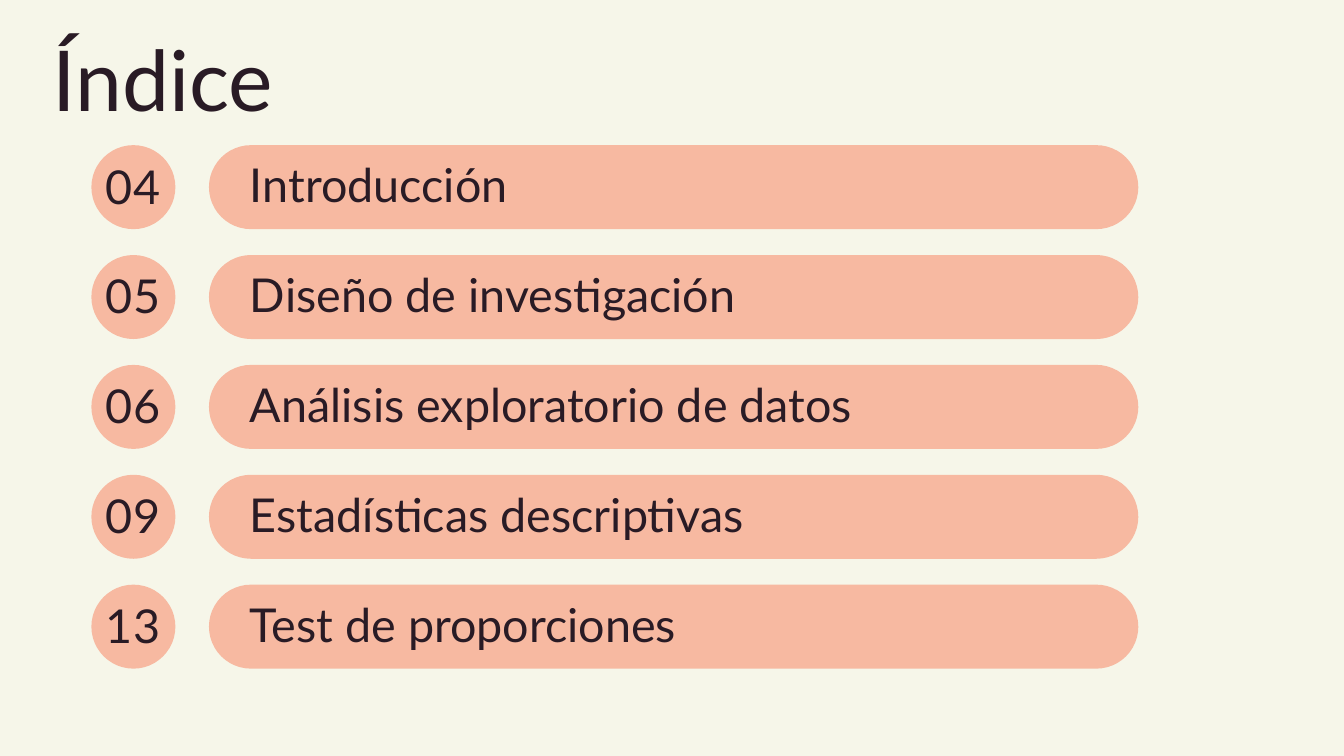
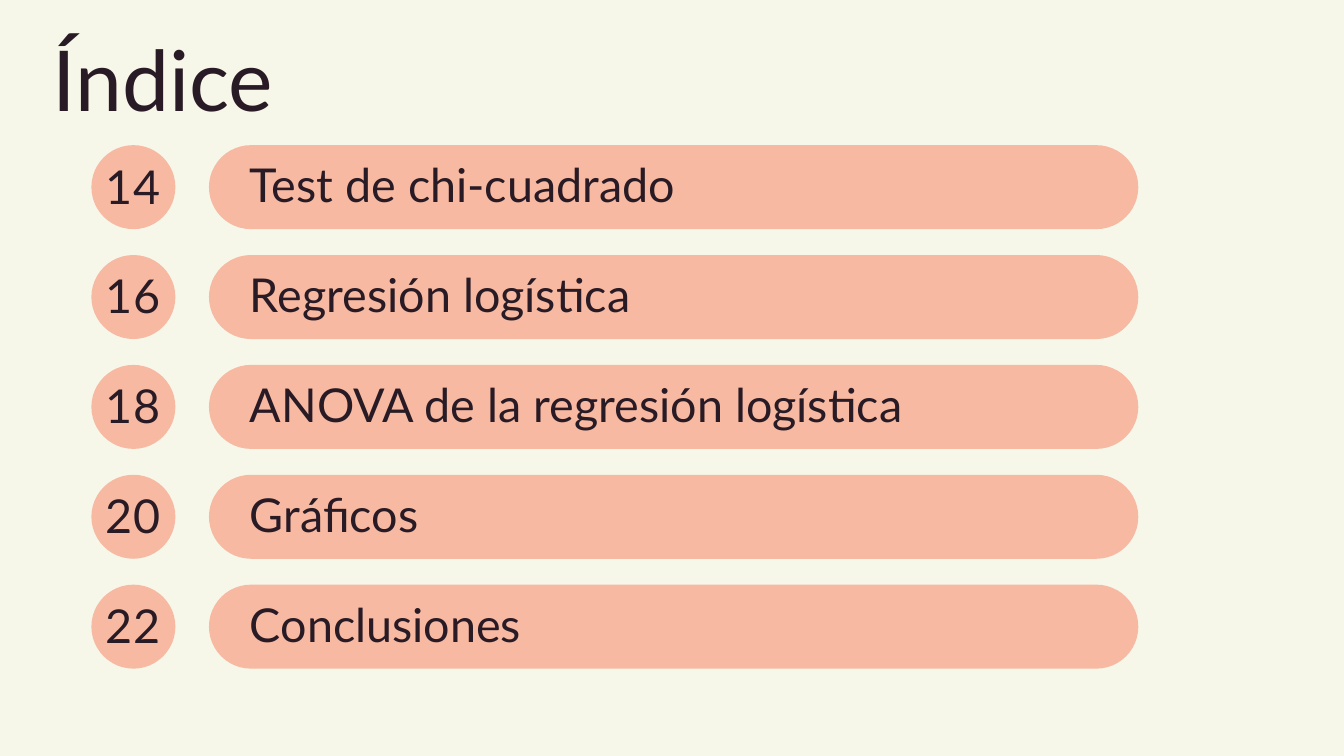
from collections import namedtuple

from pptx import Presentation
from pptx.dml.color import RGBColor
from pptx.enum.shapes import MSO_SHAPE
from pptx.enum.text import MSO_ANCHOR, MSO_AUTO_SIZE, PP_ALIGN
from pptx.util import Inches, Pt

CREAM = RGBColor(0xF6, 0xF6, 0xE9)
SALMON = RGBColor(0xF7, 0xB9, 0xA1)
PLUM = RGBColor(0x29, 0x1B, 0x25)
FONT = "Lato"
LINE_SPACING = 1.07

OVAL = MSO_SHAPE.OVAL
ROUNDED = MSO_SHAPE.ROUNDED_RECTANGLE
LEFT, CENTER = PP_ALIGN.LEFT, PP_ALIGN.CENTER
TOP, MIDDLE = MSO_ANCHOR.TOP, MSO_ANCHOR.MIDDLE
GROW = MSO_AUTO_SIZE.SHAPE_TO_FIT_TEXT

# Boxes in inches
Box = namedtuple("Box", "left top width height")
SLIDE = Box(0, 0, 20, 11.25)
TITLE_BOX = Box(0.78, 0.57, 6.14, 1.65)
INDEX_BOX = Box(1.36, 2.16, 15.58, 7.79)

# Index rows: a round badge, a gap, then a pill up to the right edge
ROW_HEIGHT = 1.25
PILL_OFFSET = 1.75
LABEL_INDENT = 0.61
TEXT_HEIGHT = 0.76
NUMBER_WIDTH = 1.2

TITLE = "Índice"
INDEX_PAGES = [
    [
        ("04", "Introducción"),
        ("05", "Diseño de investigación"),
        ("06", "Análisis exploratorio de datos"),
        ("09", "Estadísticas descriptivas"),
        ("13", "Test de proporciones"),
    ],
    [
        ("14", "Test de chi-cuadrado"),
        ("16", "Regresión logística"),
        ("18", "ANOVA de la regresión logística"),
        ("20", "Gráficos"),
        ("22", "Conclusiones"),
    ],
]


def to_inches(box):
    return [Inches(length) for length in box]


def add_filled_shape(slide, kind, box):
    shape = slide.shapes.add_shape(kind, *to_inches(box))
    shape.shadow.inherit = False
    shape.fill.solid()
    shape.fill.fore_color.rgb = SALMON
    shape.line.fill.background()
    return shape


def add_text(slide, box, text, size, alignment=LEFT, anchor=MIDDLE):
    frame = slide.shapes.add_textbox(*to_inches(box)).text_frame
    frame.margin_left = frame.margin_right = 0
    frame.margin_top = frame.margin_bottom = 0
    frame.word_wrap = True
    frame.auto_size = GROW
    frame.vertical_anchor = anchor
    paragraph = frame.paragraphs[0]
    paragraph.alignment = alignment
    paragraph.line_spacing = Pt(size * LINE_SPACING)
    run = paragraph.add_run()
    run.text = text
    run.font.name = FONT
    run.font.size = Pt(size)
    run.font.color.rgb = PLUM


def add_index_row(slide, box, number, label):
    # Badge and pill
    add_filled_shape(slide, OVAL, Box(box.left, box.top, box.height, box.height))
    pill = Box(box.left + PILL_OFFSET, box.top, box.width - PILL_OFFSET, box.height)
    add_filled_shape(slide, ROUNDED, pill).adjustments[0] = 0.5

    # Page number and section name
    text_top = box.top + (box.height - TEXT_HEIGHT) / 2
    number_box = Box(box.left + 0.02, text_top + 0.02, NUMBER_WIDTH, TEXT_HEIGHT)
    add_text(slide, number_box, number, 50, CENTER)
    label_box = Box(pill.left + LABEL_INDENT, text_top,
                    pill.width - 0.89, TEXT_HEIGHT)
    add_text(slide, label_box, label, 50)


def add_index(slide, box, entries):
    pitch = (box.height - ROW_HEIGHT) / (len(entries) - 1)
    for row, (number, label) in enumerate(entries):
        row_box = Box(box.left, box.top + row * pitch, box.width, ROW_HEIGHT)
        add_index_row(slide, row_box, number, label)


def add_index_slide(presentation, entries):
    slide = presentation.slides.add_slide(presentation.slide_layouts[6])
    slide.background.fill.solid()
    slide.background.fill.fore_color.rgb = CREAM
    add_text(slide, TITLE_BOX, TITLE, 90, anchor=TOP)
    add_index(slide, INDEX_BOX, entries)


def main():
    presentation = Presentation()
    presentation.slide_width = Inches(SLIDE.width)
    presentation.slide_height = Inches(SLIDE.height)
    for entries in INDEX_PAGES:
        add_index_slide(presentation, entries)
    presentation.save("out.pptx")


if __name__ == "__main__":
    main()
